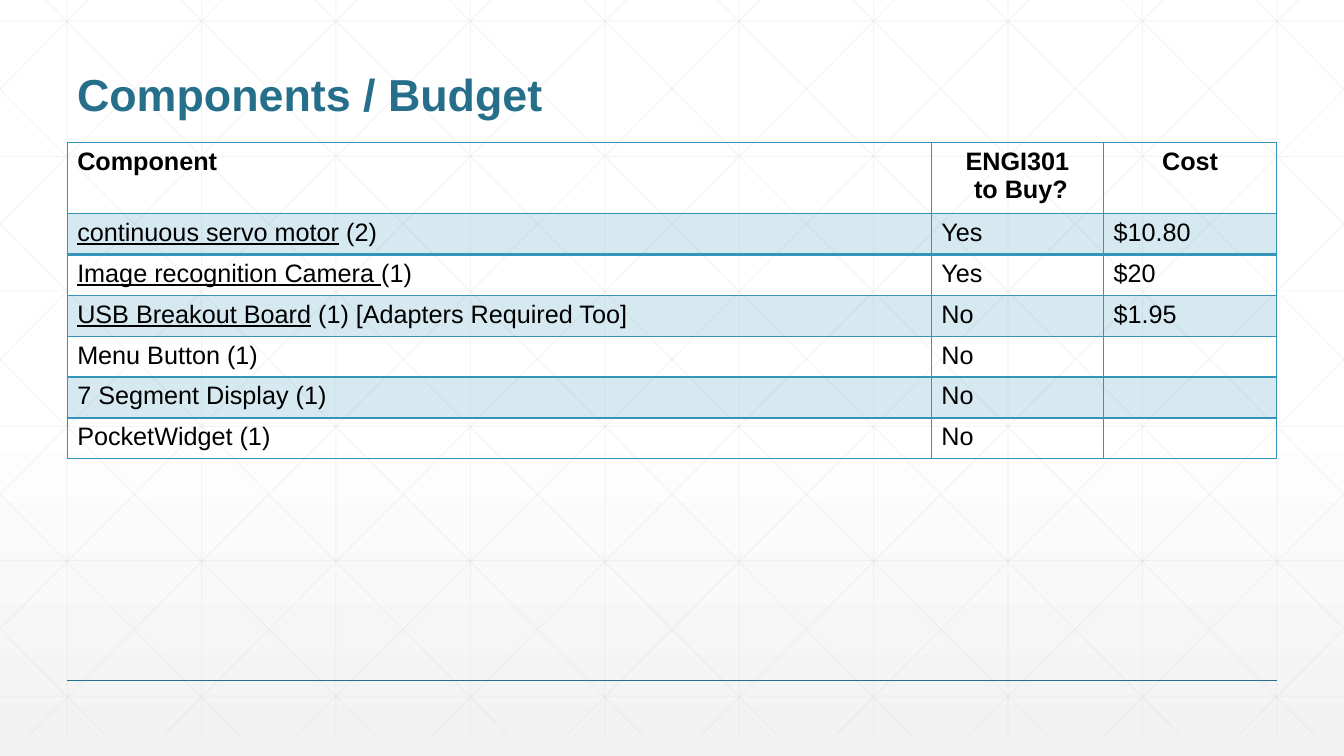
from dataclasses import dataclass
from copy import deepcopy
from typing import Any

from lxml.etree import SubElement
from pptx import Presentation
from pptx.dml.color import RGBColor
from pptx.enum.shapes import MSO_CONNECTOR
from pptx.enum.text import MSO_ANCHOR, PP_ALIGN
from pptx.oxml.ns import qn
from pptx.util import Emu, Pt

PX = 9525  # EMU in one px, 96 px to the inch
WIDE, HIGH = 1280, 720
TOP, BOTTOM = -20, 700
MARGIN, STEP = 64, 128
SLANT, START = 716, 24

WHITE = RGBColor(0xFF, 0xFF, 0xFF)
PALE = RGBColor(0xF2, 0xF2, 0xF2)
GRID = RGBColor(0xD8, 0xD8, 0xD8)
TEAL = RGBColor(0x26, 0x6F, 0x8B)
BLUE = RGBColor(0x34, 0x94, 0xBA)
BLACK = RGBColor(0, 0, 0)

TITLE = {"name": "Arial", "size": Pt(32), "bold": True}
BODY = {"name": "Arial", "size": Pt(18), "bold": False}
HEAD = BODY | {"bold": True}

COLS = (823, 164, 165)
ROW = 39


@dataclass
class Line:
    x1: int
    y1: int
    x2: int
    y2: int
    color: RGBColor = GRID
    width: float = 0.75
    alpha: int = 25


@dataclass
class Part:
    link: str
    note: str
    buy: str
    cost: str = ""


PARTS = (
    Part("continuous servo motor", " (2)", "Yes", "$10.80"),
    Part("Image recognition Camera ", "(1)", "Yes", "$20"),
    Part("USB Breakout Board", " (1) [Adapters Required Too]", "No", "$1.95"),
    Part("", "Menu Button (1)", "No"),
    Part("", "7 Segment Display (1)", "No"),
    Part("", "PocketWidget (1)", "No"),
)


def px(value: int) -> Emu:
    return Emu(value * PX)


def style(target: Any, values: dict) -> None:
    for key, value in values.items():
        setattr(target, key, value)


def fade(node: Any, alpha: int) -> None:
    """Give the first colour under node an opacity in percent."""
    color = next(node.iter(qn("a:srgbClr")))
    SubElement(color, qn("a:alpha"), val=str(alpha * 1000))


def paint(slide: Any) -> None:
    """Set the three-stop vertical background gradient."""
    fill = slide.background.fill
    fill.gradient()
    fill.gradient_angle = 270
    first = next(slide.element.iter(qn("a:gs")))
    first.addnext(deepcopy(first))
    for stop, place, color in zip(
        fill.gradient_stops, (0, 0.53, 1), (WHITE, WHITE, PALE)
    ):
        stop.position = place
        stop.color.rgb = color


def draw(slide: Any, line: Line) -> None:
    ends = map(px, (line.x1, line.y1, line.x2, line.y2))
    shape = slide.shapes.add_connector(MSO_CONNECTOR.STRAIGHT, *ends)
    shape.line.color.rgb = line.color
    shape.line.width = Pt(line.width)
    if line.alpha < 100:
        fade(shape.element.spPr, line.alpha)
    SubElement(shape.element.spPr, qn("a:effectLst"))


def slope(start: int) -> Line:
    """Falling diagonal from the top edge, clipped to the slide's sides."""
    left = max(start, 0)
    right = min(start + SLANT, WIDE)
    rate = (BOTTOM - TOP) / SLANT
    return Line(left, TOP + round((left - start) * rate),
                right, TOP + round((right - start) * rate))


def mesh() -> list[Line]:
    """Verticals, horizontals and both sets of diagonals."""
    lines = [Line(x, TOP, x, BOTTOM) for x in range(MARGIN, WIDE, STEP)]
    levels = [20 + round(128.6 * i) for i in range(6)]
    lines += [Line(0, y, WIDE, y) for y in levels]
    falls = [slope(START + STEP * i) for i in range(-5, 10)]
    rises = [Line(WIDE - f.x1, f.y1, WIDE - f.x2, f.y2) for f in falls]
    return lines + falls + rises


def write(para: Any, text: str, font: dict, color: RGBColor = BLACK) -> None:
    run = para.add_run()
    run.text = text
    style(run.font, font)
    run.font.color.rgb = color


def title(slide: Any, text: str) -> None:
    box = slide.shapes.add_textbox(px(MARGIN), px(24), px(1152), px(96))
    style(box.text_frame, {"word_wrap": True,
                           "vertical_anchor": MSO_ANCHOR.BOTTOM})
    para = box.text_frame.paragraphs[0]
    para.line_spacing = 0.9
    write(para, text, TITLE, TEAL)


def border(cell: Any, row: int) -> None:
    """Rule all sides; the edge between rows 1 and 2 is heavier."""
    props = cell._tc.get_or_add_tcPr()
    heavy = {1: "lnB", 2: "lnT"}.get(row)
    for side in ("lnL", "lnR", "lnT", "lnB"):
        width = Pt(2 if side == heavy else 1)
        edge = SubElement(props, qn(f"a:{side}"), w=str(width))
        fill = SubElement(edge, qn("a:solidFill"))
        SubElement(fill, qn("a:srgbClr"), val=str(BLUE))


def shade(cell: Any, band: bool) -> None:
    if not band:
        cell.fill.background()
        return
    cell.fill.solid()
    cell.fill.fore_color.rgb = BLUE
    fade(cell._tc.tcPr.find(qn("a:solidFill")), 20)


def budget(slide: Any) -> None:
    count = len(PARTS) + 1
    frame = slide.shapes.add_table(count, len(COLS), px(MARGIN), px(136),
                                   px(sum(COLS)), px(ROW * count))
    table = frame.table
    style(table, {"first_row": False, "horz_banding": False})
    for col, width in zip(table.columns, COLS):
        col.width = px(width)
    for row in range(count):
        table.rows[row].height = px(ROW)
        for col in range(len(COLS)):
            cell = table.cell(row, col)
            border(cell, row)
            shade(cell, row % 2 == 1)

    heads = (("Component",), ("ENGI301", " to Buy?"), ("Cost",))
    for col, texts in enumerate(heads):
        area = table.cell(0, col).text_frame
        for i, text in enumerate(texts):
            para = area.add_paragraph() if i else area.paragraphs[0]
            para.alignment = PP_ALIGN.CENTER if col else PP_ALIGN.LEFT
            write(para, text, HEAD)

    for row, part in enumerate(PARTS, 1):
        paras = [table.cell(row, col).text_frame.paragraphs[0]
                 for col in range(len(COLS))]
        if part.link:
            write(paras[0], part.link, BODY | {"underline": True})
        for para, text in zip(paras, (part.note, part.buy, part.cost)):
            if text:
                write(para, text, BODY)


def main() -> None:
    deck = Presentation()
    style(deck, {"slide_width": px(WIDE), "slide_height": px(HIGH)})
    slide = deck.slides.add_slide(deck.slide_layouts[6])
    paint(slide)
    for line in mesh():
        draw(slide, line)
    draw(slide, Line(MARGIN, 648, WIDE - MARGIN, 648, TEAL, 1, 100))
    title(slide, "Components / Budget")
    budget(slide)
    deck.save("out.pptx")


if __name__ == "__main__":
    main()
